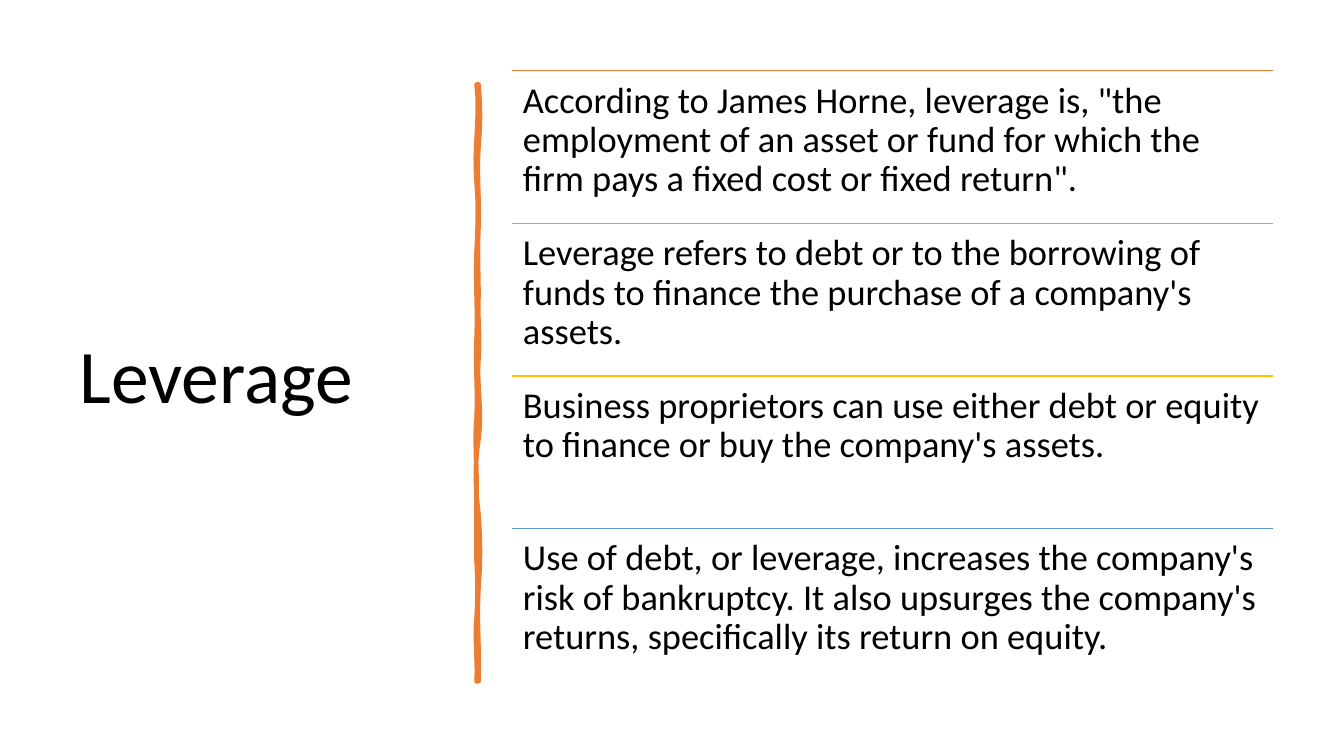
from dataclasses import dataclass

from lxml import etree
from pptx import Presentation
from pptx import util as u
from pptx.dml.color import RGBColor
from pptx.enum import shapes, text
from pptx.oxml.ns import qn


@dataclass(frozen=True)
class Theme:
    font: str = "Calibri"
    ink: str = "000000"
    brush: str = "ED7D31"
    rules: tuple = ("ED7D31", "A5A5A5", "FFC000", "5B9BD5")
    title_size: int = 54
    body_size: int = 26
    brush_weight: float = 3.25
    rule_weight: float = 1


@dataclass(frozen=True)
class Box:
    left: float
    top: float
    width: float
    height: float


THEME = Theme()
STATEMENTS = (
    'According to James Horne, leverage is, "the employment of an asset or fund '
    'for which the firm pays a fixed cost or fixed return".',
    "Leverage refers to debt or to the borrowing of funds to finance the purchase "
    "of a company's assets.",
    "Business proprietors can use either debt or equity to finance or buy the "
    "company's assets.",
    "Use of debt, or leverage, increases the company's risk of bankruptcy. It also "
    "upsurges the company's returns, specifically its return on equity.",
)
RIGHT_KNOTS = (0, 1.57, 3.61, 5.33, 6.91, 8.94, 10.82, 12.7, 15.04)
RIGHT_WAVES = ((0.05, 0.05), (-0.05, 0.03), (-0.03, 0), (-0.03, 0.05),
               (-0.05, 0.1), (-0.1, -0.08), (0.05, 0.05), (-0.05, 0.03))
LEFT_KNOTS = (0, 2.46, 4.22, 6.38, 8.41, 9.98, 12.01, 13.44, 15.04)
LEFT_WAVES = ((0.1, -0.08), (0.05, 0.03), (-0.03, 0.03), (-0.03, 0.03),
              (-0.05, 0), (0, 0), (0.03, 0.03), (-0.05, 0.03))
STEPS = 8


def add_text(slide, box, content, *, size, anchor, inset_x=0.25, inset_y=0.13):
    holder = slide.shapes.add_textbox(
        u.Cm(box.left), u.Cm(box.top), u.Cm(box.width), u.Cm(box.height))
    frame = holder.text_frame
    frame.word_wrap = True
    frame.vertical_anchor = anchor
    frame.margin_left = frame.margin_right = u.Cm(inset_x)
    frame.margin_top = frame.margin_bottom = u.Cm(inset_y)
    paragraph = frame.paragraphs[0]
    paragraph.line_spacing = 0.9
    run = paragraph.add_run()
    run.text = content
    run.font.name = THEME.font
    run.font.size = u.Pt(size)
    run.font.color.rgb = RGBColor.from_string(THEME.ink)


def add_rule(slide, left, top, width, color):
    rule = slide.shapes.add_connector(
        shapes.MSO_CONNECTOR.STRAIGHT,
        u.Cm(left), u.Cm(top), u.Cm(left + width), u.Cm(top))
    rule.line.color.rgb = RGBColor.from_string(color)
    rule.line.width = u.Pt(THEME.rule_weight)
    etree.SubElement(rule._element.spPr, qn("a:effectLst"))


def wavy_edge(x, top, knots, waves):
    points = [(u.Cm(x), u.Cm(top))]
    for start, end, (first, second) in zip(knots, knots[1:], waves):
        for step in range(1, STEPS + 1):
            t = step / STEPS
            sway = 3 * t * (1 - t) * ((1 - t) * first + t * second)
            y = start + (end - start) * t
            points.append((u.Cm(x + sway), u.Cm(top + y)))
    return points


def add_title(slide, box):
    add_text(slide, box, "Leverage", size=THEME.title_size,
             anchor=text.MSO_ANCHOR.MIDDLE)


def add_brush_stroke(slide, box):
    right = wavy_edge(box.left + box.width, box.top, RIGHT_KNOTS, RIGHT_WAVES)
    left = wavy_edge(box.left, box.top, LEFT_KNOTS, LEFT_WAVES)
    outline = right + left[::-1]
    builder = slide.shapes.build_freeform(*outline[0])
    builder.add_line_segments(outline[1:], close=True)
    stroke = builder.convert_to_shape()
    stroke.shadow.inherit = False
    stroke.fill.solid()
    stroke.fill.fore_color.rgb = RGBColor.from_string(THEME.brush)
    stroke.line.color.rgb = RGBColor.from_string(THEME.brush)
    stroke.line.width = u.Pt(THEME.brush_weight)


def add_statements(slide, box):
    row_height = box.height / len(STATEMENTS)
    for index, (statement, color) in enumerate(zip(STATEMENTS, THEME.rules)):
        row = Box(box.left, box.top + index * row_height, box.width, row_height)
        add_rule(slide, row.left, row.top, row.width, color)
        add_text(slide, row, statement, size=THEME.body_size,
                 anchor=text.MSO_ANCHOR.TOP, inset_x=0.28, inset_y=0.28)


def main():
    deck = Presentation()
    deck.slide_width = u.Cm(33.87)
    deck.slide_height = u.Cm(19.05)
    slide = deck.slides.add_slide(deck.slide_layouts[6])
    add_title(slide, Box(1.75, 1.78, 9.5, 15.52))
    add_brush_stroke(slide, Box(12.01, 2.13, 0.05, 15.04))
    add_statements(slide, Box(12.9, 1.78, 19.18, 15.38))
    deck.save("out.pptx")


if __name__ == "__main__":
    main()
